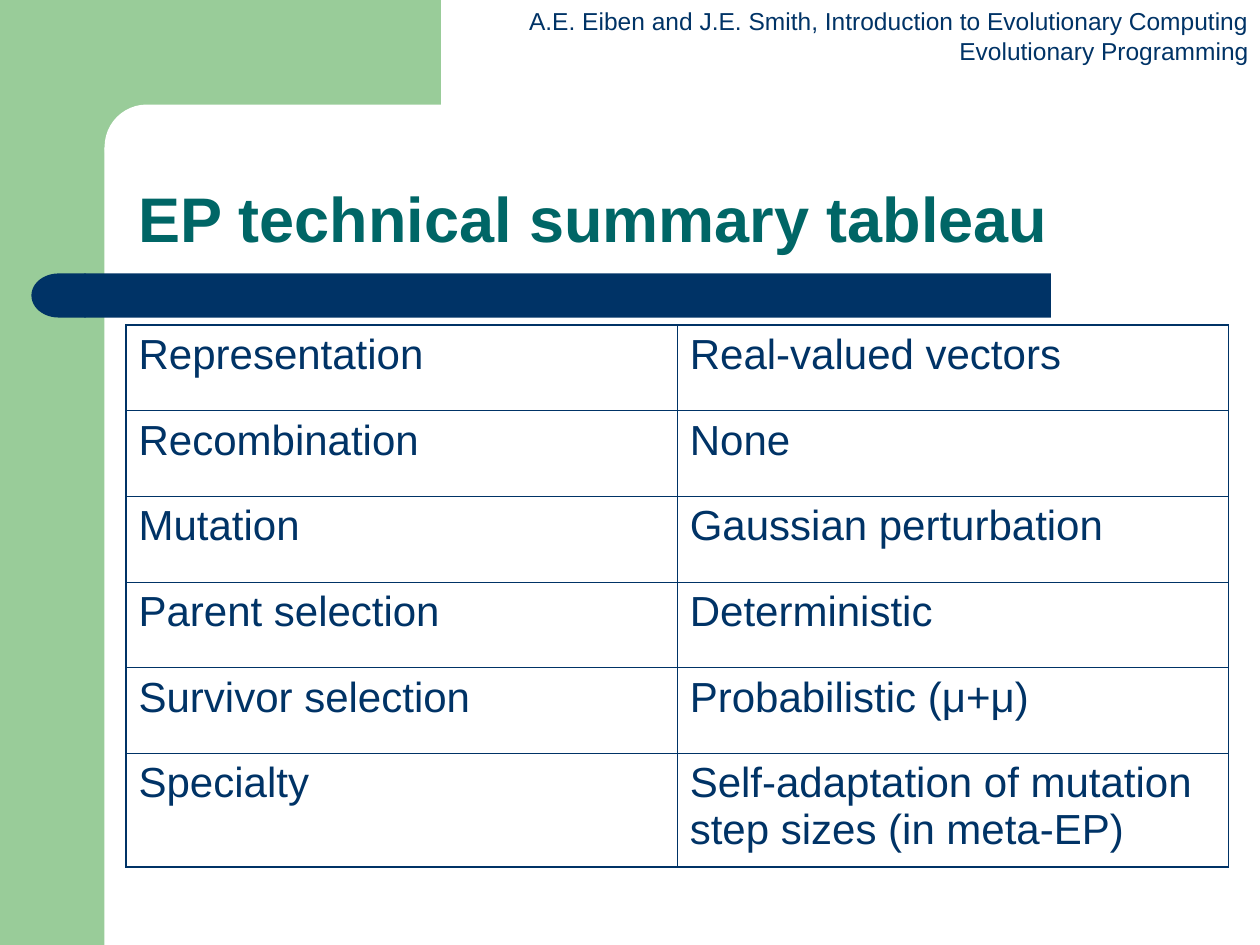
from pptx import Presentation
from pptx import util as u
from pptx.dml.color import RGBColor
from pptx.enum import shapes, text
from pptx.oxml import parse_xml
from pptx.oxml.ns import nsdecls

GREEN, WHITE, NAVY, TEAL = "99CC99", "FFFFFF", "003366", "006666"
THICK, THIN = 1.08, 0.45
ROWS = [
    ("Representation", "Real-valued vectors"),
    ("Recombination", "None"),
    ("Mutation", "Gaussian perturbation"),
    ("Parent selection", "Deterministic"),
    ("Survivor selection", "Probabilistic (μ+μ)"),
    ("Specialty", "Self-adaptation of mutation step sizes (in meta-EP)"),
]


def color(hex_string):
    return RGBColor.from_string(hex_string)


def add_block(s, kind, x, y, w, h, fill):
    sp = s.shapes.add_shape(kind, *map(u.Inches, (x, y, w, h)))
    sp.shadow.inherit = False
    sp.fill.solid()
    sp.fill.fore_color.rgb = color(fill)
    sp.line.fill.background()
    return sp


def add_run(p, words, size, hex_string, bold=False):
    r = p.add_run()
    r.text = words
    r.font.name = "Arial"
    r.font.size = u.Pt(size)
    r.font.bold = bold
    r.font.color.rgb = color(hex_string)


def add_decoration(s):
    kinds = shapes.MSO_SHAPE
    add_block(s, kinds.RECTANGLE, 0, 0, 0.83, 7.5, GREEN)
    add_block(s, kinds.RECTANGLE, 0.75, 0, 2.75, 1.17, GREEN)
    corner = add_block(s, kinds.ROUNDED_RECTANGLE, 0.83, 0.83, 5.58, 0.67, WHITE)
    corner.adjustments[0] = 0.5
    bar = add_block(s, kinds.ROUNDED_RECTANGLE, 0.67, 2.17, 7.67, 0.35, NAVY)
    bar.adjustments[0] = 0
    cap = add_block(s, kinds.FLOWCHART_DELAY, 0.25, 2.17, 0.43, 0.35, NAVY)
    cap.element.spPr.get_or_add_xfrm().set("flipH", "1")


def add_header(s, lines):
    sp = s.shapes.add_textbox(*map(u.Inches, (4.1, 0, 5.91, 0.57)))
    tf = sp.text_frame
    tf.word_wrap = False
    for i, line in enumerate(lines):
        p = tf.add_paragraph() if i else tf.paragraphs[0]
        p.alignment = text.PP_ALIGN.RIGHT
        add_run(p, line, 14, NAVY)


def set_title(s, words):
    title = s.shapes.title
    title.left, title.top, title.width, title.height = map(
        u.Inches, (1, 0.83, 8.75, 1.25))
    s.shapes.element.append(title.element)  # in front of the decoration
    tf = title.text_frame
    tf.word_wrap = True
    tf.auto_size = text.MSO_AUTO_SIZE.NONE
    tf.vertical_anchor = text.MSO_ANCHOR.BOTTOM
    p = tf.paragraphs[0]
    p.alignment = text.PP_ALIGN.LEFT
    p.line_spacing = 0.9
    add_run(p, words, 36, TEAL, bold=True)


def set_borders(cell, widths):
    """Draw the borders; widths maps the sides L, R, T, B to points."""
    tcPr = cell._tc.get_or_add_tcPr()
    for side in "LRTB":
        tcPr.append(parse_xml(
            f'<a:ln{side} {nsdecls("a")} w="{u.Pt(widths[side])}">'
            f'<a:solidFill><a:srgbClr val="{NAVY}"/></a:solidFill></a:ln{side}>'))


def add_summary_table(s):
    last_row, last_col = len(ROWS) - 1, len(ROWS[0]) - 1
    frame = s.shapes.add_table(last_row + 1, last_col + 1,
                               *map(u.Inches, (1, 2.58, 8.75, 4.3)))
    table = frame.table
    table.first_row = table.horz_banding = False
    for i, row in enumerate(ROWS):
        table.rows[i].height = u.Inches(0.9 if i == last_row else 0.68)
        for j, words in enumerate(row):
            cell = table.cell(i, j)
            outer = {"L": j == 0, "R": j == last_col,
                     "T": i == 0, "B": i == last_row}
            set_borders(cell, {k: THICK if v else THIN for k, v in outer.items()})
            cell.fill.background()
            add_run(cell.text_frame.paragraphs[0], words, 24, NAVY)


def main():
    prs = Presentation()
    prs.slide_width, prs.slide_height = u.Inches(10), u.Inches(7.5)
    s = prs.slides.add_slide(prs.slide_layouts[5])
    add_decoration(s)
    add_header(s, [
        "A.E. Eiben and J.E. Smith, Introduction to Evolutionary Computing",
        "Evolutionary Programming",
    ])
    set_title(s, "EP technical summary tableau")
    add_summary_table(s)
    prs.save("out.pptx")


if __name__ == "__main__":
    main()
